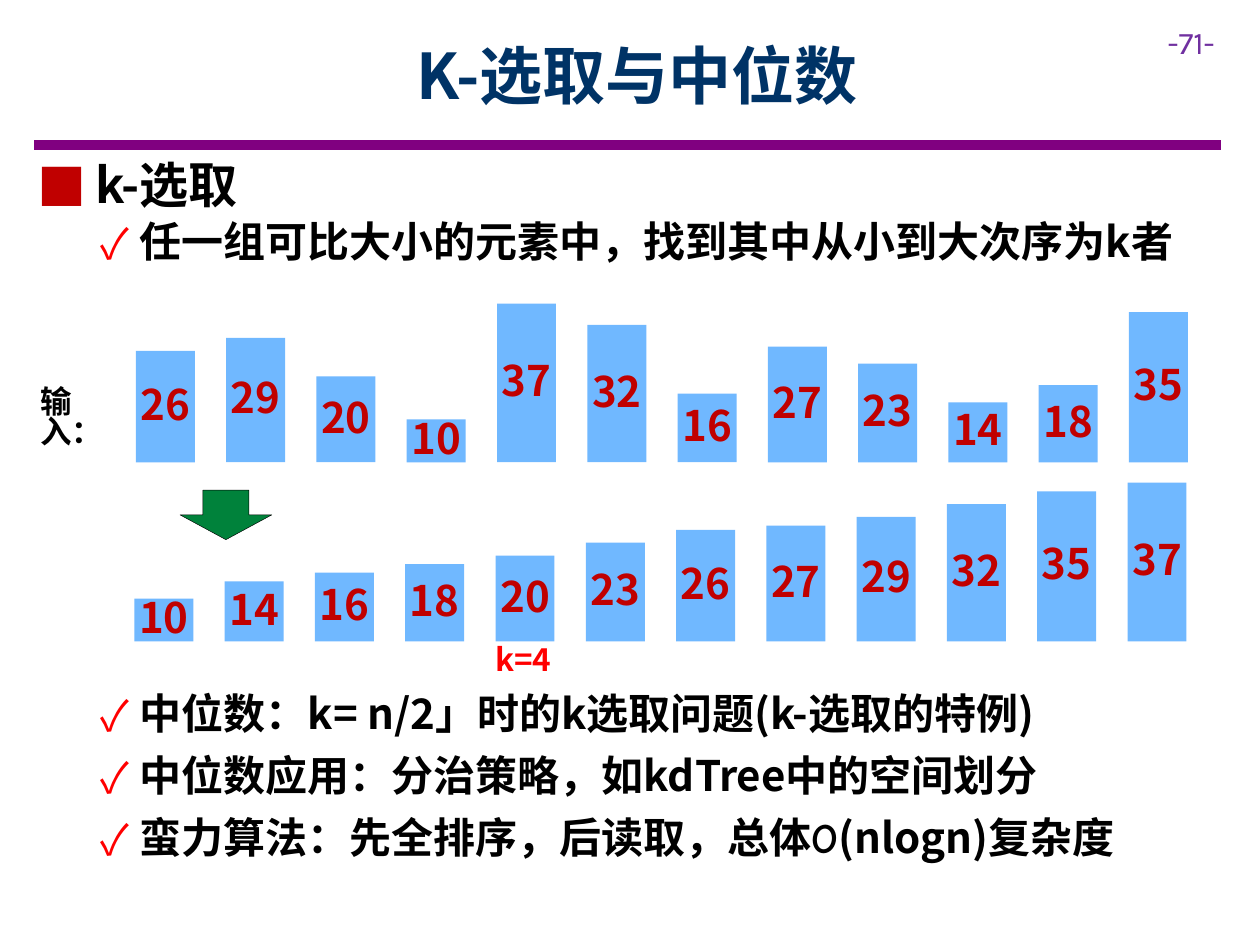
from lxml.etree import SubElement
from pptx import Presentation
from pptx.dml.color import RGBColor
from pptx.enum.shapes import MSO_CONNECTOR, MSO_SHAPE
from pptx.enum.text import MSO_ANCHOR, PP_ALIGN
from pptx.oxml.ns import qn
from pptx.util import Cm, Pt

FACE = "Noto Sans CJK SC"
INK = {
    "title": "003366", "rule": "800080", "page": "7030A0", "text": "000000",
    "square": "C00000", "tick": "FF0000", "bar": "70B8FF", "value": "C00000",
    "arrow": "00823B",
}
VALUES = [26, 29, 20, 10, 37, 32, 16, 27, 23, 14, 18, 35]
ROWS = [(2.74, 9.32, VALUES), (2.71, 12.93, sorted(VALUES))]
WIDTH, PITCH, TALLEST = 1.19, 1.82, 3.2

LABELS = [
    ("K-选取与中位数", (2.29, 0.23, 21.11, 2.54), 36, "title", 1),
    ("输入：", (0.56, 7.72, 1.27, 1.8), 18, "text", 0.8),
    ("k=4", (9.73, 12.93, 1.8, 1.02), 18, "tick", 0.8),
]
TOP = [
    ("■", "square", 28, 1.17, 1.17, 0, ["k-选取"]),
    ("✓", "tick", 24, 2.06, 0.79, 4, ["任一组可比大小的元素中，找到其中从小到大次序为k者"]),
]
LOWER = [
    ("✓", "tick", 24, 2.06, 0.79, gap, runs) for gap, runs in [
        (0, ["中位数：k= n/2」时的k选取问题(k-选取的特例)"]),
        (9.6, ["中位数应用：分治策略，如kdTree中的空间划分"]),
        (9.6, ["蛮力算法：先全排序，后读取，总体", "O", "(nlogn)复杂度"]),
    ]
]
BODY = [((0.51, 3.12, 24, 3), TOP), ((0.51, 13.84, 24, 4.4), LOWER)]


def color(name):
    return RGBColor.from_string(INK[name])


def style(para, size, ink, face=FACE, bold=True):
    font = para.font
    font.size, font.bold, font.name = Pt(size), bold, face
    font.color.rgb = color(ink)
    SubElement(para._p.pPr.find(qn("a:defRPr")), qn("a:ea"), typeface=face)


def bullet(para, mark, ink, left, hang):
    props = para._p.get_or_add_pPr()
    props.set("marL", str(Cm(left)))
    props.set("indent", str(-Cm(hang)))
    paint = SubElement(props, qn("a:buClr"))
    SubElement(paint, qn("a:srgbClr"), val=INK[ink])
    SubElement(props, qn("a:buFont"), typeface=FACE)
    SubElement(props, qn("a:buChar"), char=mark)


def add_box(slide, area):
    frame = slide.shapes.add_textbox(*map(Cm, area)).text_frame
    frame.word_wrap = True
    return frame


def add_label(slide, text, area, size, ink, lead):
    frame = add_box(slide, area)
    para = frame.paragraphs[0]
    para.text = text
    para.line_spacing = lead
    style(para, size, ink)
    if ink == "title":
        frame.vertical_anchor = MSO_ANCHOR.MIDDLE
        para.alignment = PP_ALIGN.CENTER


def add_list(slide, area, items):
    frame = add_box(slide, area)
    for i, (mark, ink, size, left, hang, gap, runs) in enumerate(items):
        para = frame.add_paragraph() if i else frame.paragraphs[0]
        bullet(para, mark, ink, left, hang)
        para.line_spacing = 0.9
        para.space_before = Pt(gap)
        style(para, size, "text")
        for text in runs:
            run = para.add_run()
            run.text = text
            if text == "O":
                run.font.name = "Comic Neue"


def add_shape(slide, kind, area, ink):
    shape = slide.shapes.add_shape(kind, *map(Cm, area))
    shape.shadow.inherit = False
    shape.fill.solid()
    shape.fill.fore_color.rgb = color(ink)
    return shape


def add_bar(slide, left, base, value):
    tall = TALLEST * value / max(VALUES)
    bar = add_shape(slide, MSO_SHAPE.RECTANGLE, (left, base - tall, WIDTH, tall), "bar")
    bar.line.fill.background()
    frame = bar.text_frame
    frame.margin_left = frame.margin_right = 0
    frame.margin_top = frame.margin_bottom = Cm(0.25)
    frame.vertical_anchor = MSO_ANCHOR.MIDDLE
    para = frame.paragraphs[0]
    para.text = str(value)
    para.alignment = PP_ALIGN.CENTER
    para.line_spacing = 0.9
    style(para, 24, "value")


def main():
    deck = Presentation()
    deck.slide_width, deck.slide_height = Cm(25.4), Cm(19.05)
    slide = deck.slides.add_slide(deck.slide_layouts[6])

    rule = slide.shapes.add_connector(
        MSO_CONNECTOR.STRAIGHT, Cm(0.69), Cm(2.92), Cm(24.61), Cm(2.92))
    rule.line.width = Pt(6)
    rule.line.color.rgb = color("rule")
    SubElement(rule._element.spPr, qn("a:effectLst"))

    page = add_box(slide, (23.29, 0.33, 2.11, 1.02)).paragraphs[0]
    page.text = "-71-"
    style(page, 18, "page", "Karla", False)

    for label in LABELS:
        add_label(slide, *label)
    for area, items in BODY:
        add_list(slide, area, items)
    for left, base, values in ROWS:
        for i, value in enumerate(values):
            add_bar(slide, left + i * PITCH, base, value)

    arrow = add_shape(slide, MSO_SHAPE.DOWN_ARROW, (3.63, 9.88, 1.85, 1), "arrow")
    arrow.line.width = Pt(0.25)
    arrow.line.color.rgb = color("text")
    deck.save("out.pptx")


if __name__ == "__main__":
    main()
